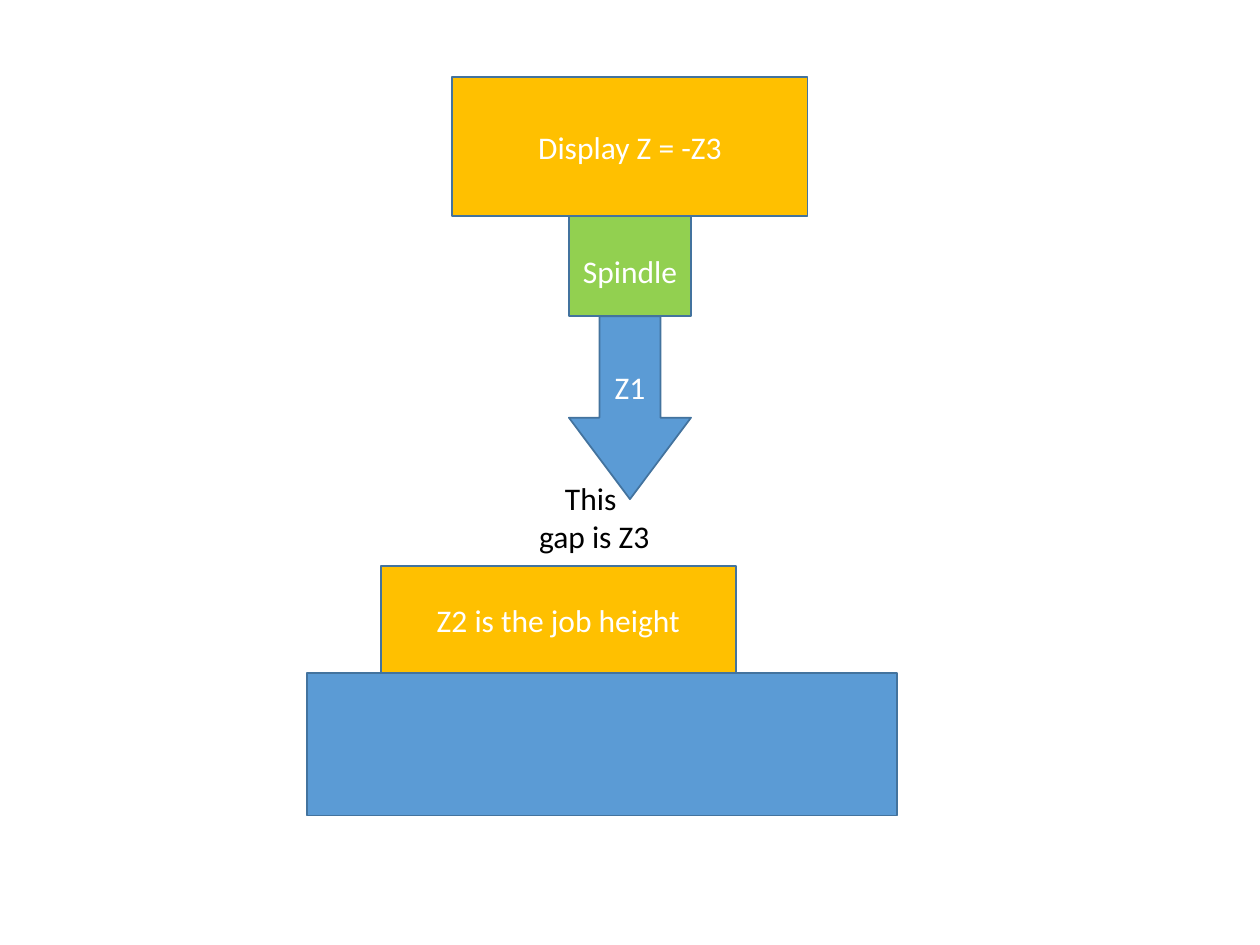
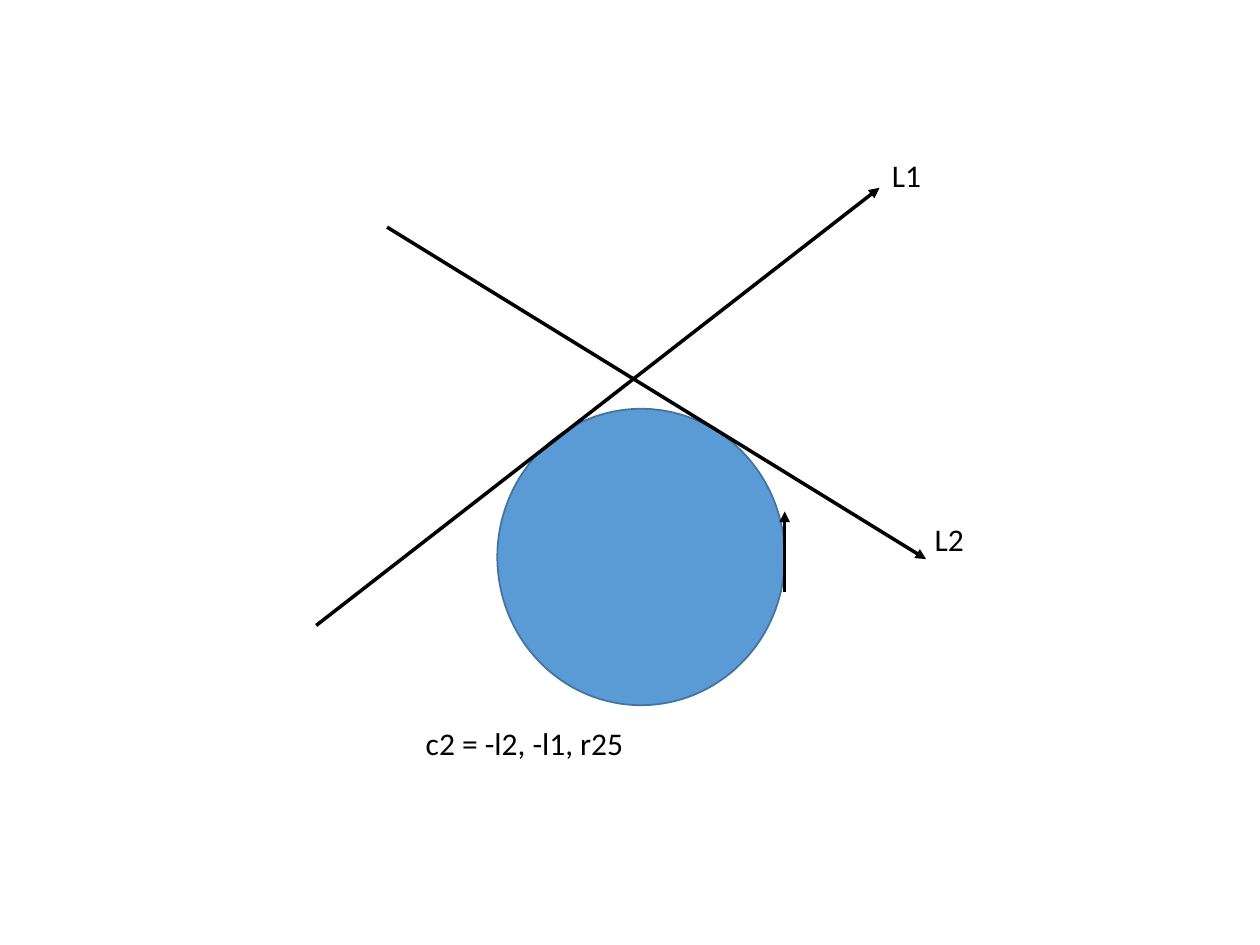
from lxml.etree import SubElement
from pptx import Presentation
from pptx.dml.color import RGBColor
from pptx.enum.shapes import MSO_CONNECTOR, MSO_SHAPE
from pptx.enum.text import MSO_ANCHOR, PP_ALIGN
from pptx.oxml.ns import qn
from pptx.util import Pt

COLORS = {"blue": "5B9BD5", "outline": "43739E", "amber": "FFC000",
          "green": "92D050", "white": "FFFFFF", "black": "000000"}
FONT = {"name": "Calibri", "size": Pt(18)}


def write_text(shape, lines, color, align, anchor):
    frame = shape.text_frame
    frame.word_wrap = True
    frame.vertical_anchor = anchor
    frame.text = "\n".join(lines)
    for paragraph in frame.paragraphs:
        paragraph.alignment = align
        for run in paragraph.runs:
            for attribute, value in FONT.items():
                setattr(run.font, attribute, value)
            run.font.color.rgb = RGBColor.from_string(COLORS[color])


def add_block(slide, kind, box, fill, text=""):
    shape = slide.shapes.add_shape(kind, *map(Pt, box))
    shape.shadow.inherit = False
    shape.fill.solid()
    shape.fill.fore_color.rgb = RGBColor.from_string(COLORS[fill])
    shape.line.color.rgb = RGBColor.from_string(COLORS["outline"])
    shape.line.width = Pt(1)
    if text:
        write_text(shape, [text], "white", PP_ALIGN.CENTER, MSO_ANCHOR.MIDDLE)
    return shape


presentation = Presentation()
presentation.slide_width, presentation.slide_height = Pt(720), Pt(540)
blank = presentation.slide_layouts[6]
spindle_slide = presentation.slides.add_slide(blank)
tangent_slide = presentation.slides.add_slide(blank)

# Table with the job on it
add_block(spindle_slide, MSO_SHAPE.RECTANGLE, (175.4, 384.5, 337, 81.5), "blue")
add_block(spindle_slide, MSO_SHAPE.RECTANGLE, (217.6, 323.4, 203, 61.1), "amber",
          "Z2 is the job height")

# Tool, spindle and display, centred on the slide
tool = add_block(spindle_slide, MSO_SHAPE.DOWN_ARROW, (325.1, 180.7, 69.8, 104.5),
                 "blue", "Z1")
tool.adjustments[1] = 0.667
spindle = add_block(spindle_slide, MSO_SHAPE.RECTANGLE, (325.1, 61.2, 69.8, 119.5),
                    "green", "Spindle")
spindle.text_frame.margin_top = Pt(71)  # keeps the label below the display
add_block(spindle_slide, MSO_SHAPE.RECTANGLE, (258.5, 43.9, 203, 79.7), "amber",
          "Display Z = -Z3")

# Circle touched by the lines
add_block(tangent_slide, MSO_SHAPE.OVAL, (284.2, 233.6, 164.3, 169.4), "blue")

# Directed lines: start and end points
for ends in [(180.7, 357.4, 502.6, 107.3),
             (221.2, 129.8, 529.2, 319.5),
             (448.4, 338.4, 448.4, 292.3)]:
    arrow = tangent_slide.shapes.add_connector(MSO_CONNECTOR.STRAIGHT, *map(Pt, ends))
    arrow.line.color.rgb = RGBColor.from_string(COLORS["black"])
    arrow.line.width = Pt(2)
    SubElement(arrow.line._get_or_add_ln(), qn("a:tailEnd"), type="triangle")
    SubElement(arrow._element.spPr, qn("a:effectLst"))

# Free labels on both slides
for slide, box, lines, align in [
    (spindle_slide, (217.6, 270, 244, 51), ["This ", "gap is Z3"], PP_ALIGN.CENTER),
    (tangent_slide, (502.6, 85.7, 65, 29), ["L1"], PP_ALIGN.LEFT),
    (tangent_slide, (527, 293.8, 65, 29), ["L2"], PP_ALIGN.LEFT),
    (tangent_slide, (236.2, 410.4, 266.4, 29), ["c2 = -l2, -l1, r25"], PP_ALIGN.LEFT),
]:
    label = slide.shapes.add_textbox(*map(Pt, box))
    write_text(label, lines, "black", align, MSO_ANCHOR.TOP)

presentation.save("out.pptx")
